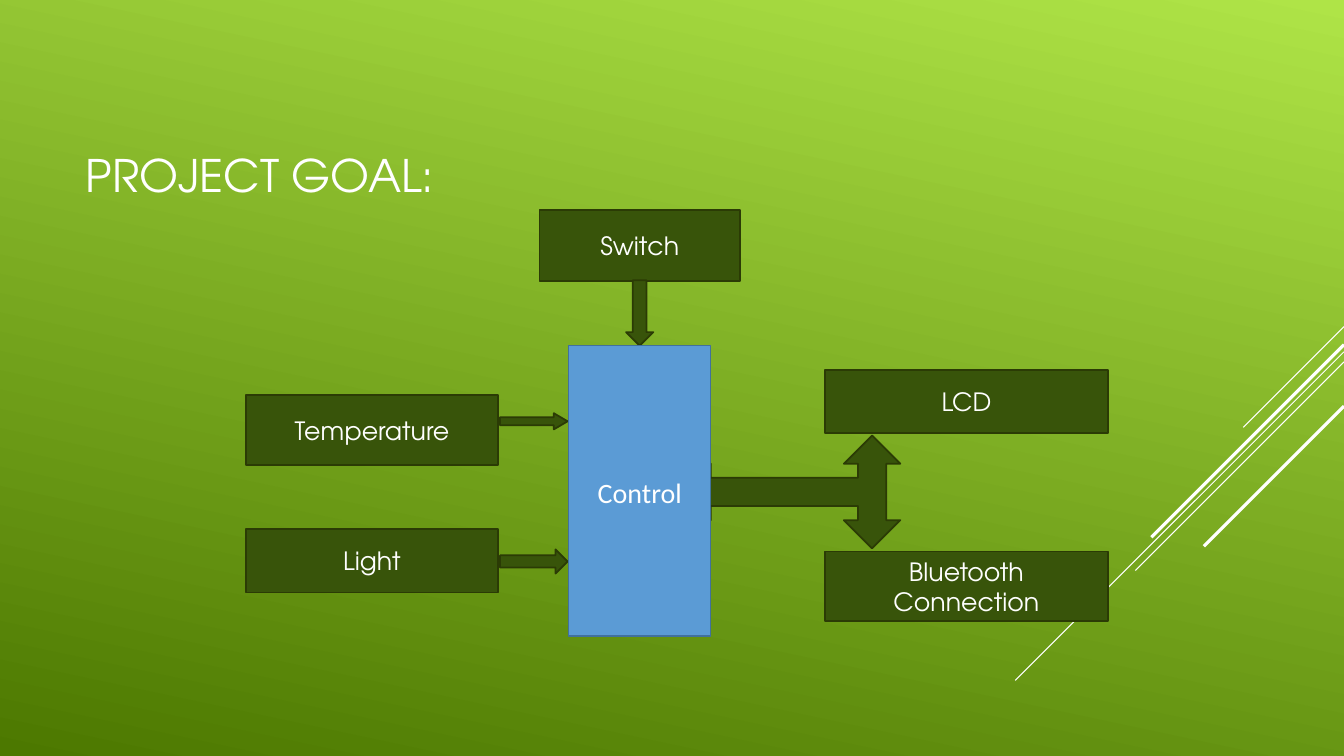
from pptx import Presentation
from pptx.dml.color import RGBColor
from pptx.enum.shapes import MSO_CONNECTOR, MSO_SHAPE as SHAPE
from pptx.enum.text import MSO_ANCHOR, PP_ALIGN
from pptx.oxml.ns import qn
from pptx.util import Inches, Pt
from lxml.etree import SubElement

COLORS = {
    "light": "AFE447",
    "dark": "4C7800",
    "block": "38540A",
    "edge": "2B3B05",
    "board": "5B9BD5",
    "board_edge": "41719C",
    "white": "FFFFFF",
}
WIDTH, HEIGHT = 13.33, 7.5
FONT = "TeX Gyre Adventor"


def color(name):
    return RGBColor.from_string(COLORS[name])


def set_background(s):
    fill = s.background.fill
    fill.gradient()
    fill.gradient_angle = 258
    for stop, name, position in zip(fill.gradient_stops, ("light", "dark"), (0, 1)):
        stop.color.rgb = color(name)
        stop.position = position


def add_diagonal(s, y, run, weight):
    line = s.shapes.add_connector(
        MSO_CONNECTOR.STRAIGHT,
        Inches(WIDTH), Inches(y), Inches(WIDTH - run), Inches(y + run))
    line.line.color.rgb = color("white")
    line.line.width = Pt(weight)
    SubElement(line._element.spPr, qn("a:effectLst"))


def write(sp, text, size=18, font=FONT, align=PP_ALIGN.CENTER, spacing=1.0, after=0):
    tf = sp.text_frame
    tf.word_wrap = True
    tf.vertical_anchor = MSO_ANCHOR.MIDDLE
    p = tf.paragraphs[0]
    p.alignment = align
    p.line_spacing = spacing
    p.space_after = Pt(after)
    r = p.add_run()
    r.text = text
    r.font.name = font
    r.font.size = Pt(size)
    r.font.color.rgb = color("white")


def add_shape(s, kind, box, fill="block", edge="edge", weight=1.25, adjust=()):
    sp = s.shapes.add_shape(kind, *map(Inches, box))
    sp.shadow.inherit = False
    sp.fill.solid()
    sp.fill.fore_color.rgb = color(fill)
    sp.line.color.rgb = color(edge)
    sp.line.width = Pt(weight)
    for i, value in enumerate(adjust):
        sp.adjustments[i] = value
    return sp


def main():
    prs = Presentation()
    prs.slide_width, prs.slide_height = Inches(WIDTH), Inches(HEIGHT)
    s = prs.slides.add_slide(prs.slide_layouts[6])
    set_background(s)

    for y, run, weight in ((3.24, 1, 0.75), (3.49, 3.26, 0.75), (3.59, 2.07, 0.75),
                           (3.42, 1.91, 2.25), (4.03, 1.39, 2.25)):
        add_diagonal(s, y, run, weight)

    title = s.shapes.add_textbox(Inches(0.75), Inches(1.4), Inches(11), Inches(0.66))
    write(title, "PROJECT GOAL:", size=32, align=PP_ALIGN.LEFT)

    for text, box in (
        ("Switch", (5.35, 2.08, 1.99, 0.71)),
        ("Temperature", (2.44, 3.92, 2.5, 0.69)),
        ("Light", (2.44, 5.25, 2.5, 0.63)),
        ("LCD", (8.18, 3.67, 2.81, 0.63)),
        ("Bluetooth Connection", (8.18, 5.47, 2.81, 0.69)),
    ):
        write(add_shape(s, SHAPE.RECTANGLE, box), text)

    add_shape(s, SHAPE.DOWN_ARROW, (6.21, 2.78, 0.27, 0.65), adjust=(0.5, 0.5))
    add_shape(s, SHAPE.RIGHT_ARROW, (4.96, 4.1, 0.67, 0.16), adjust=(0.5, 0.85))
    add_shape(s, SHAPE.RIGHT_ARROW, (4.96, 5.45, 0.67, 0.24), adjust=(0.5, 0.5))
    outputs = add_shape(s, SHAPE.LEFT_RIGHT_UP_ARROW, (7.29, 3.8, 1.12, 2.16),
                        adjust=(0.25, 0.25, 0.25))
    outputs.rotation = 270

    board = add_shape(s, SHAPE.RECTANGLE, (5.64, 3.43, 1.41, 2.88),
                      fill="board", edge="board_edge", weight=1)
    write(board, "Control", size=20, font="Calibri", spacing=1.07, after=8)

    prs.save("out.pptx")


if __name__ == "__main__":
    main()
